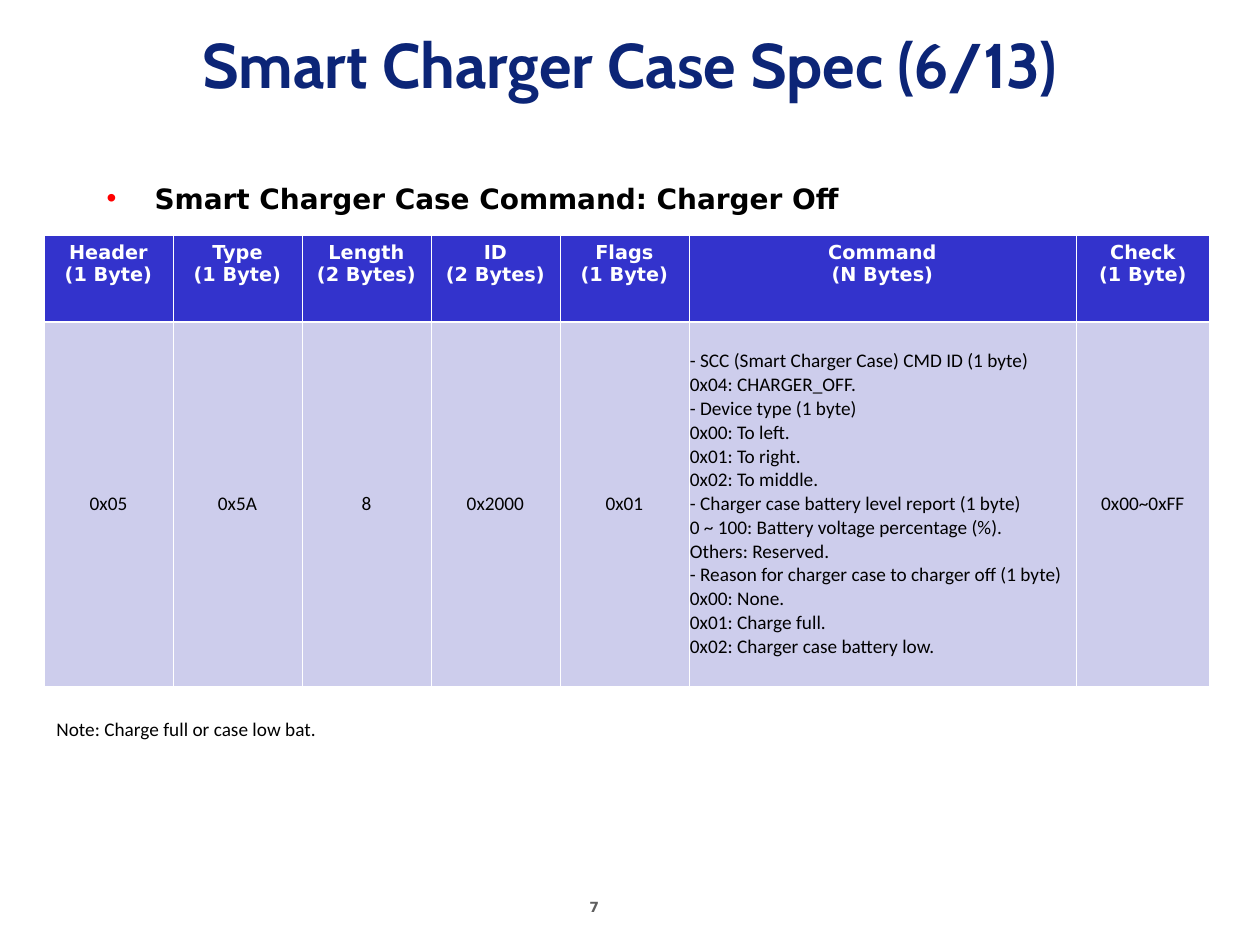
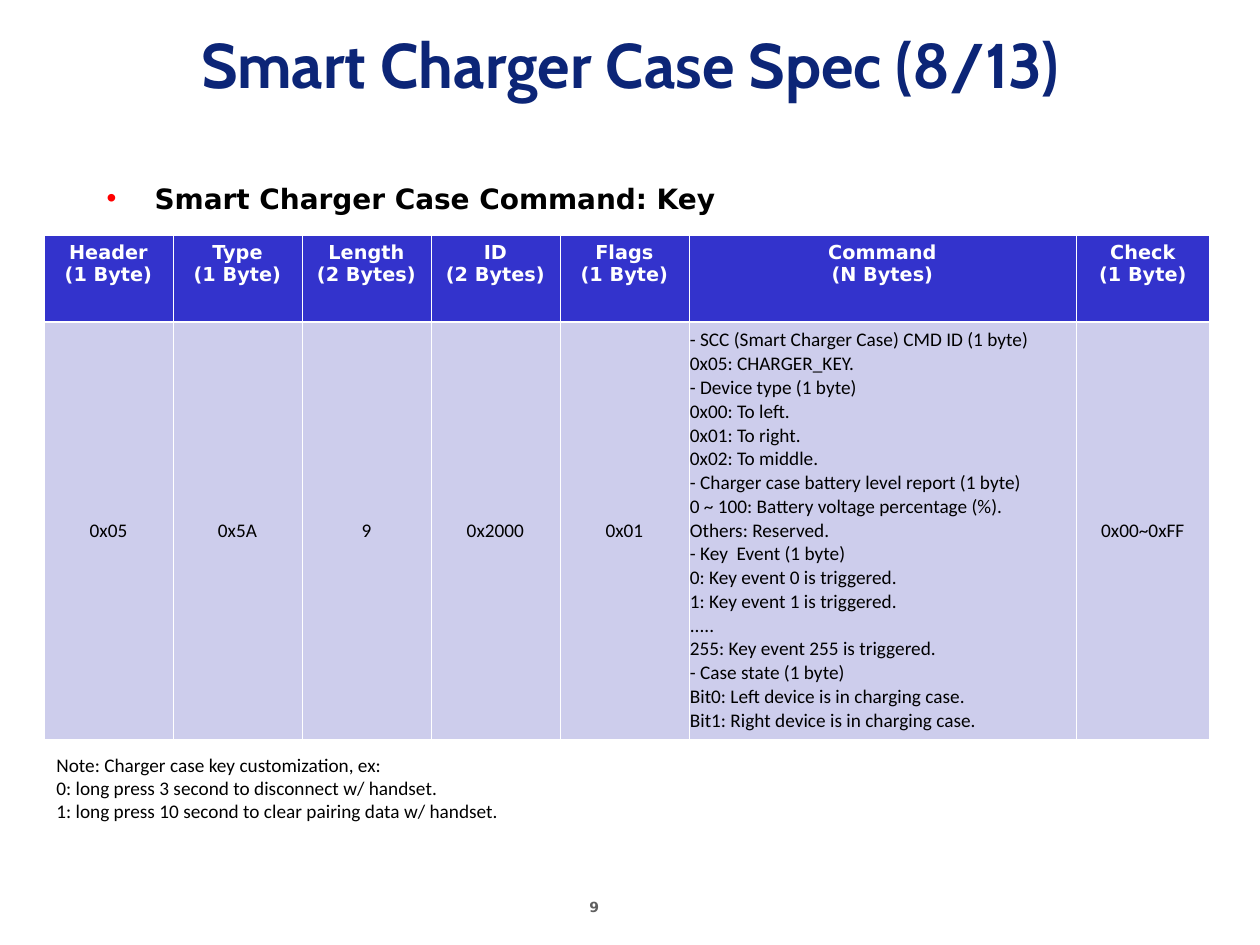
"""Build two slides that specify smart charger case commands."""
from dataclasses import dataclass

from lxml import etree
from pptx import Presentation
from pptx.dml.color import RGBColor
from pptx.enum.text import MSO_ANCHOR, MSO_AUTO_SIZE, PP_ALIGN
from pptx.oxml.ns import qn
from pptx.util import Emu, Pt

LEFT, CENTER = PP_ALIGN.LEFT, PP_ALIGN.CENTER
TOP, MIDDLE = MSO_ANCHOR.TOP, MSO_ANCHOR.MIDDLE
NO_AUTOFIT = MSO_AUTO_SIZE.NONE
PIXELS_PER_INCH = 126


@dataclass(frozen=True)
class TextStyle:
    """Font, size, colour and weight of a piece of text."""
    font: str
    size: int
    color: str
    bold: bool = False


@dataclass(frozen=True)
class Theme:
    """Colours and type styles shared by the slides."""
    header_fill: str = "3333CC"
    body_fill: str = "CDCDEC"
    border: str = "FFFFFF"
    bullet: str = "FF0000"
    thin: float = 0.45
    thick: float = 1.47
    title: TextStyle = TextStyle("Cabin", 36, "0C2577", True)
    heading: TextStyle = TextStyle("DejaVu Sans", 16, "000000", True)
    table_header: TextStyle = TextStyle("DejaVu Sans", 11, "FFFFFF", True)
    text: TextStyle = TextStyle("Calibri", 11, "000000")
    number: TextStyle = TextStyle("DejaVu Sans", 8, "5F5F5F", True)


COLUMN_WIDTHS = [129] * 5 + [387, 134]
HEADER_HEIGHT = 87
HEADERS = [
    ("Header", "(1 Byte)"), ("Type", "(1 Byte)"), ("Length", "(2 Bytes)"),
    ("ID", "(2 Bytes)"), ("Flags", "(1 Byte)"), ("Command", "(N Bytes)"),
    ("Check", "(1 Byte)"),
]
DEVICE_AND_BATTERY = [
    "- Device type (1 byte)",
    "0x00: To left.",
    "0x01: To right.",
    "0x02: To middle.",
    "- Charger case battery level report (1 byte)",
    "0 ~ 100: Battery voltage percentage (%).",
    "Others: Reserved.",
]
COMMANDS = [
    {
        "part": 6, "page": 7, "name": "Charger Off", "length": "8",
        "identifier": "0x04: CHARGER_OFF.",
        "details": [
            "- Reason for charger case to charger off (1 byte)",
            "0x00: None.",
            "0x01: Charge full.",
            "0x02: Charger case battery low.",
        ],
        "row_height": 364, "note_top": 711, "note_height": 36,
        "note": ["Note: Charge full or case low bat."],
    },
    {
        "part": 8, "page": 9, "name": "Key", "length": "9",
        "identifier": "0x05: CHARGER_KEY.",
        "details": [
            "- Key  Event (1 byte)",
            "0: Key event 0 is triggered.",
            "1: Key event 1 is triggered.",
            ".....",
            "255: Key event 255 is triggered.",
            "- Case state (1 byte)",
            "Bit0: Left device is in charging case.",
            "Bit1: Right device is in charging case.",
        ],
        "row_height": 417, "note_top": 747, "note_height": 82,
        "note": [
            "Note: Charger case key customization, ex:",
            "0: long press 3 second to disconnect w/ handset.",
            "1: long press 10 second to clear pairing data w/ handset.",
        ],
    },
]


def px(length):
    """Turn pixels into EMU."""
    return Emu(round(length * 914400 / PIXELS_PER_INCH))


class SlideBuilder:
    """Hold the theme and the current slide and add elements to it."""

    def __init__(self, presentation, theme):
        self.presentation = presentation
        self.theme = theme
        self.slide = None

    def new_slide(self):
        """Start a slide with title and body placeholders."""
        layout = self.presentation.slide_layouts[1]
        self.slide = self.presentation.slides.add_slide(layout)

    def add_lines(self, frame, lines, style, alignment=LEFT):
        """Add one styled paragraph for each line."""
        for index, line in enumerate(lines):
            paragraph = frame.add_paragraph() if index else frame.paragraphs[0]
            paragraph.alignment = alignment
            run = paragraph.add_run()
            run.text = line
            run.font.name = style.font
            run.font.size = Pt(style.size)
            run.font.bold = style.bold
            run.font.color.rgb = RGBColor.from_string(style.color)

    def place(self, shape, box, anchor=TOP):
        """Move a text shape and return its prepared text frame."""
        shape.left, shape.top, shape.width, shape.height = map(px, box)
        frame = shape.text_frame
        frame.word_wrap = True
        frame.auto_size = NO_AUTOFIT
        frame.vertical_anchor = anchor
        return frame

    def title(self, text):
        """Fill the title placeholder."""
        frame = self.place(self.slide.shapes.title, (0, 0, 1260, 126), MIDDLE)
        self.add_lines(frame, [text], self.theme.title, CENTER)

    def bullet(self, text):
        """Fill the body placeholder with one bulleted heading."""
        frame = self.place(self.slide.placeholders[1], (94, 175, 1166, 651))
        self.add_lines(frame, [text], self.theme.heading)
        paragraph = frame.paragraphs[0]
        paragraph.space_before = Pt(4)
        properties = paragraph._p.get_or_add_pPr()
        properties.set("marL", str(px(48)))
        properties.set("indent", str(-px(48)))
        color = etree.SubElement(properties, qn("a:buClr"))
        etree.SubElement(color, qn("a:srgbClr"), val=self.theme.bullet)
        etree.SubElement(properties, qn("a:buChar"), char="•")

    def text_box(self, box, lines, style):
        """Add a text box."""
        shape = self.slide.shapes.add_textbox(*map(px, box))
        self.add_lines(self.place(shape, box), lines, style)

    def fill_cell(self, cell, color, top, bottom):
        """Give a cell its fill and its four borders."""
        cell.fill.solid()
        cell.fill.fore_color.rgb = RGBColor.from_string(color)
        properties = cell._tc.get_or_add_tcPr()
        thin = self.theme.thin
        edges = [("L", thin), ("R", thin), ("T", top), ("B", bottom)]
        for index, (side, width) in enumerate(edges):
            line = etree.Element(qn(f"a:ln{side}"), w=str(Pt(width)))
            fill = etree.SubElement(line, qn("a:solidFill"))
            etree.SubElement(fill, qn("a:srgbClr"), val=self.theme.border)
            properties.insert(index, line)

    def command_table(self, values, row_height):
        """Add the packet table with a header row and one value row."""
        theme = self.theme
        box = (44, 235, sum(COLUMN_WIDTHS), HEADER_HEIGHT + row_height)
        table = self.slide.shapes.add_table(
            2, len(HEADERS), *map(px, box)).table
        table.horz_banding = False
        table.rows[0].height = px(HEADER_HEIGHT)
        table.rows[1].height = px(row_height)
        for index, width in enumerate(COLUMN_WIDTHS):
            table.columns[index].width = px(width)
            header, body = table.cell(0, index), table.cell(1, index)
            self.add_lines(header.text_frame, HEADERS[index],
                           theme.table_header, CENTER)
            self.fill_cell(header, theme.header_fill, theme.thin, theme.thick)
            lines = values[index]
            self.add_lines(body.text_frame, lines, theme.text,
                           LEFT if len(lines) > 1 else CENTER)
            body.vertical_anchor = MIDDLE
            body.margin_left = body.margin_right = px(1)
            self.fill_cell(body, theme.body_fill, theme.thick, theme.thin)


def add_command(builder, command):
    """Add the slide that describes one command."""
    builder.new_slide()
    builder.title(f"Smart Charger Case Spec ({command['part']}/13)")
    builder.bullet(f"Smart Charger Case Command: {command['name']}")
    description = [
        "- SCC (Smart Charger Case) CMD ID (1 byte)",
        command["identifier"], *DEVICE_AND_BATTERY, *command["details"],
    ]
    values = [["0x05"], ["0x5A"], [command["length"]], ["0x2000"], ["0x01"],
              description, ["0x00~0xFF"]]
    builder.command_table(values, command["row_height"])
    note_box = (44, command["note_top"], 630, command["note_height"])
    builder.text_box(note_box, command["note"], builder.theme.text)
    builder.text_box((577, 892, 97, 33), [str(command["page"])],
                     builder.theme.number)


def main():
    """Build and save the presentation."""
    presentation = Presentation()
    presentation.slide_width, presentation.slide_height = px(1260), px(945)
    builder = SlideBuilder(presentation, Theme())
    for command in COMMANDS:
        add_command(builder, command)
    presentation.save("out.pptx")


if __name__ == "__main__":
    main()
